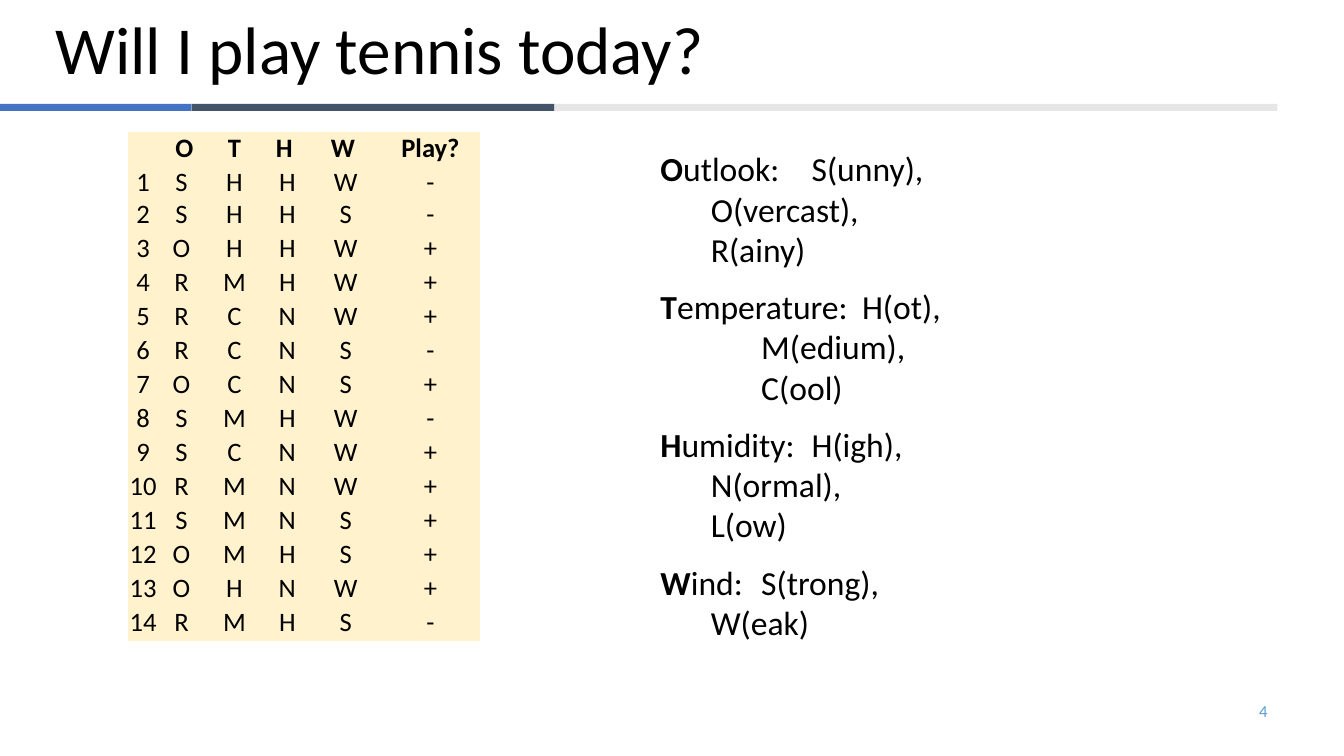
from dataclasses import dataclass

from lxml.etree import SubElement
from pptx import Presentation
from pptx.dml.color import RGBColor
from pptx.enum.shapes import MSO_SHAPE
from pptx.enum.text import MSO_ANCHOR, MSO_AUTO_SIZE as AutoSize, PP_ALIGN as Align
from pptx.oxml.ns import qn
from pptx.util import Inches, Pt


@dataclass(frozen=True)
class Theme:
    font: str = "Calibri"
    ink: str = "000000"
    number: str = "5B9BD5"
    cell: str = "FFF2CC"
    title_size: int = 48
    list_size: int = 24
    table_size: int = 19
    number_size: int = 12


@dataclass(frozen=True)
class Bar:
    left: float
    width: float
    color: str


@dataclass(frozen=True)
class Attribute:
    initial: str
    rest: str
    values: tuple[str, ...]
    tabs: int = 1


THEME = Theme()
BARS = (
    Bar(0, 1.9, "4472C4"),
    Bar(1.9, 3.6, "44546A"),
    Bar(5.5, 7.17, "E7E6E6"),
)
ATTRIBUTES = (
    Attribute("O", "utlook:", ("S(unny), ", "O(vercast), ", "R(ainy)")),
    Attribute("T", "emperature:", ("H(ot), ", "M(edium), ", "C(ool)"), tabs=2),
    Attribute("H", "umidity:", ("H(igh),", "N(ormal), ", "L(ow)")),
    Attribute("W", "ind:", ("S(trong), ", "W(eak)")),
)
HEADER = ("", " O", "T", "H ", "W ", "Play?")
DAYS = (
    "SHHW-", "SHHS-", "OHHW+", "RMHW+", "RCNW+", "RCNS-", "OCNS+",
    "SMHW-", "SCNW+", "RMNW+", "SMNS+", "OMHS+", "OHNW+", "RMHS-",
)
COLUMN_WIDTHS = (0.3, 0.46, 0.59, 0.46, 0.7, 0.98)
TABLE_HEIGHT = 5.04
FIRST_DAY_HEIGHT = 0.31


def place(sp, left: float, top: float, width: float, height: float) -> None:
    sp.left, sp.top = Inches(left), Inches(top)
    sp.width, sp.height = Inches(width), Inches(height)


def add_text(p, text: str, *, size: int, color: str = THEME.ink,
             bold: bool = False, align: Align = Align.LEFT) -> None:
    p.alignment = align
    for i, line in enumerate(text.split("\n")):
        if i:
            p.add_line_break()
            SubElement(p._p[-1], qn("a:rPr"), sz=str(size * 100))
        r = p.add_run()
        r.text = line
        r.font.name = THEME.font
        r.font.size = Pt(size)
        r.font.bold = bold
        r.font.color.rgb = RGBColor.from_string(color)


def add_bar(slide, bar: Bar) -> None:
    sp = slide.shapes.add_shape(MSO_SHAPE.RECTANGLE, Inches(bar.left), Inches(1.03),
                                Inches(bar.width), Inches(0.07))
    sp.shadow.inherit = False
    sp.fill.solid()
    sp.fill.fore_color.rgb = RGBColor.from_string(bar.color)
    sp.line.fill.background()


def add_title(slide, text: str) -> None:
    sp = slide.shapes.title
    place(sp, 0.45, 0.02, 12, 1.01)
    tf = sp.text_frame
    tf.auto_size = AutoSize.NONE
    tf.vertical_anchor = MSO_ANCHOR.MIDDLE
    p = tf.paragraphs[0]
    p.line_spacing = 0.9
    add_text(p, text, size=THEME.title_size)


def add_attribute(p, attribute: Attribute) -> None:
    p.space_before = Pt(THEME.list_size / 2)
    pPr = p._p.get_or_add_pPr()
    pPr.set("marL", "0")
    pPr.set("indent", "0")
    SubElement(pPr, qn("a:buNone"))
    tabs = SubElement(pPr, qn("a:tabLst"))
    SubElement(tabs, qn("a:tab"), pos=str(Inches(1.75)), algn="l")
    values = ("\n" + "\t" * attribute.tabs).join(attribute.values)
    add_text(p, attribute.initial, size=THEME.list_size, bold=True)
    add_text(p, f"{attribute.rest}\t{values}", size=THEME.list_size)


def add_attributes(slide) -> None:
    sp = slide.placeholders[1]
    place(sp, 6.45, 1.42, 4.42, 5.15)
    tf = sp.text_frame
    tf.word_wrap = True
    tf.auto_size = AutoSize.SHAPE_TO_FIT_TEXT
    for i, attribute in enumerate(ATTRIBUTES):
        add_attribute(tf.add_paragraph() if i else tf.paragraphs[0], attribute)


def add_days(slide) -> None:
    rows = [HEADER] + [(str(n), *day) for n, day in enumerate(DAYS, 1)]
    frame = slide.shapes.add_table(len(rows), len(HEADER), Inches(1.27), Inches(1.31),
                                   Inches(sum(COLUMN_WIDTHS)), Inches(TABLE_HEIGHT))
    table = frame.table
    table.horz_banding = False
    style = table._tbl.tblPr.find(qn("a:tableStyleId"))
    style.text = "{2D5ABB26-0587-4C30-8999-92F81FD0307C}"
    for column, width in zip(table.columns, COLUMN_WIDTHS):
        column.width = Inches(width)
    row_height = (TABLE_HEIGHT - FIRST_DAY_HEIGHT) / len(DAYS)
    for i, texts in enumerate(rows):
        table.rows[i].height = Inches(FIRST_DAY_HEIGHT if i == 1 else row_height)
        for cell, text in zip(table.rows[i].cells, texts):
            cell.margin_left = cell.margin_right = 0
            cell.margin_top = cell.margin_bottom = 0
            cell.fill.solid()
            cell.fill.fore_color.rgb = RGBColor.from_string(THEME.cell)
            if text:
                add_text(cell.text_frame.paragraphs[0], text, size=THEME.table_size,
                         bold=i == 0, align=Align.CENTER)


def add_slide_number(slide, number: str) -> None:
    sp = slide.shapes.add_textbox(Inches(9.56), Inches(6.85), Inches(3.11), Inches(0.4))
    tf = sp.text_frame
    tf.word_wrap = True
    tf.vertical_anchor = MSO_ANCHOR.MIDDLE
    add_text(tf.paragraphs[0], number, size=THEME.number_size, color=THEME.number,
             align=Align.RIGHT)


def main() -> None:
    prs = Presentation()
    prs.slide_width, prs.slide_height = Inches(13.33), Inches(7.5)
    slide = prs.slides.add_slide(prs.slide_layouts[1])
    for bar in BARS:
        add_bar(slide, bar)
    add_slide_number(slide, "4")
    add_title(slide, "Will I play tennis today?")
    add_attributes(slide)
    add_days(slide)
    prs.save("out.pptx")


if __name__ == "__main__":
    main()
